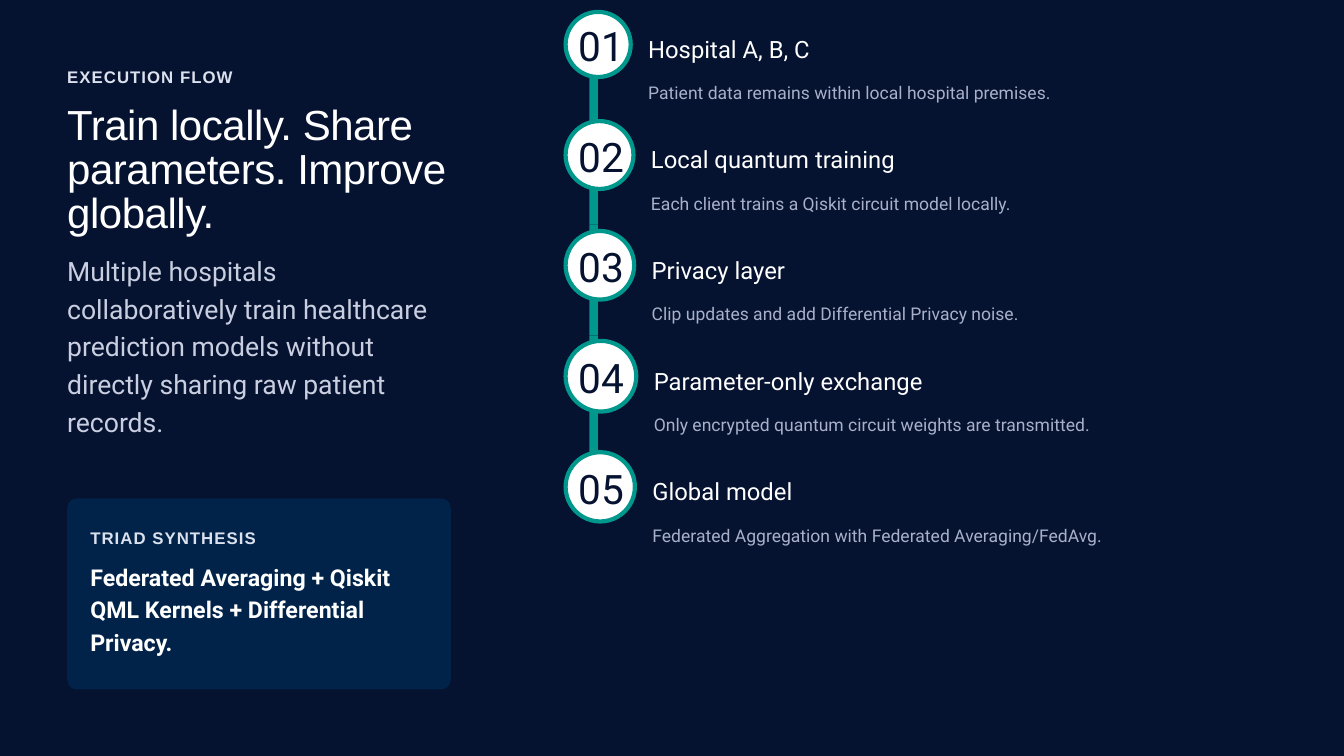
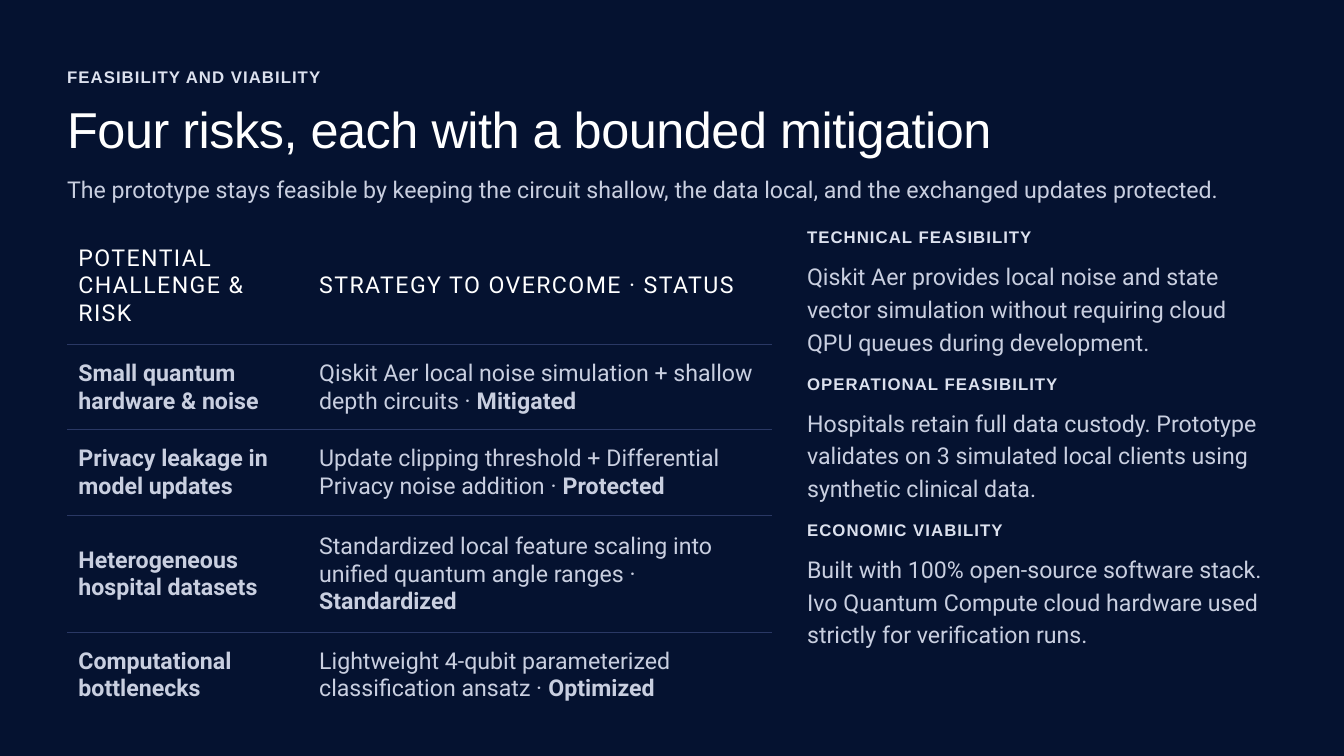
from dataclasses import dataclass

from lxml.etree import SubElement
from pptx import Presentation
from pptx.dml.color import RGBColor
from pptx.enum.shapes import MSO_SHAPE
from pptx.enum.text import MSO_ANCHOR, MSO_AUTO_SIZE
from pptx.oxml import parse_xml
from pptx.oxml.ns import nsdecls, qn
from pptx.util import Emu, Pt

PX = 9525  # EMU in one px; the slide is 1920 by 1080 px


@dataclass(frozen=True)
class Style:
    size: float
    pitch: float
    colour: str
    font: str = "Roboto"
    bold: bool = False
    spacing: int = 0  # hundredths of a point


class Theme:
    background = "051230"
    panel = "022349"
    accent = "00978D"
    rule = "2A3864"
    white = "FFFFFF"
    body = "C9CFE0"

    eyebrow = Style(18, 22.5, "DCE1EE", "Arial", True, 110)
    side_title = Style(45, 47.5, white, "Arial", spacing=-50)
    wide_title = Style(54, 57.1, white, "Arial", spacing=-50)
    lead = Style(28.5, 40.4, body)
    paragraph = Style(24.8, 35.1, body)
    synthesis = Style(24.8, 35.1, white, bold=True)
    step_number = Style(43.5, 43.4, background)
    step_title = Style(25.5, 33.1, white)
    step_detail = Style(18.8, 25.2, "A9B1CA")
    table_head = Style(24.8, 29.7, white, spacing=150)
    table_text = Style(24.8, 29.7, body)
    table_strong = Style(24.8, 29.7, body, bold=True)


def add_span(para, text, style):
    para.line_spacing = Pt(style.pitch)
    span = para.add_run()
    span.text = text
    span.font.size = Pt(style.size)
    span.font.name = style.font
    span.font.bold = style.bold
    span.font.color.rgb = RGBColor.from_string(style.colour)
    if style.spacing:
        span.font._element.set("spc", str(style.spacing))


def add_text(page, left, top, width, height, text, style):
    box = page.shapes.add_textbox(left * PX, top * PX, width * PX, height * PX)
    frame = box.text_frame
    frame.margin_left = frame.margin_right = frame.margin_top = frame.margin_bottom = 0
    frame.word_wrap = True
    frame.auto_size = MSO_AUTO_SIZE.SHAPE_TO_FIT_TEXT
    add_span(frame.paragraphs[0], text, style)


deck = Presentation()
deck.slide_width = Emu(1920 * PX)
deck.slide_height = Emu(1080 * PX)
pages = []
for eyebrow in ("EXECUTION FLOW", "FEASIBILITY AND VIABILITY"):
    page = deck.slides.add_slide(deck.slide_layouts[6])
    page.background.fill.solid()
    page.background.fill.fore_color.rgb = RGBColor.from_string(Theme.background)
    add_text(page, 96, 94, 644, 32, eyebrow, Theme.eyebrow)
    pages.append(page)
flow_page, risk_page = pages

# Execution flow: message on the left
add_text(flow_page, 96, 149, 547, 187,
         "Train locally. Share parameters. Improve globally.", Theme.side_title)
add_text(flow_page, 96, 356, 547, 277,
         "Multiple hospitals collaboratively train healthcare prediction models "
         "without directly sharing raw patient records.", Theme.lead)

# Execution flow: synthesis panel
panel = flow_page.shapes.add_shape(
    MSO_SHAPE.ROUNDED_RECTANGLE, 96 * PX, 712 * PX, 548 * PX, 273 * PX)
panel.adjustments[0] = 0.05
panel.shadow.inherit = False
panel.fill.solid()
panel.fill.fore_color.rgb = RGBColor.from_string(Theme.panel)
panel.line.fill.background()
add_text(flow_page, 129, 752, 578, 32, "TRIAD SYNTHESIS", Theme.eyebrow)
add_text(flow_page, 129, 797, 482, 147,
         "Federated Averaging + Qiskit QML Kernels + Differential Privacy.",
         Theme.synthesis)

# Execution flow: numbered steps on a vertical track
steps = [
    (93, "Hospital A, B, C", "Patient data remains within local hospital premises."),
    (97, "Local quantum training", "Each client trains a Qiskit circuit model locally."),
    (98, "Privacy layer", "Clip updates and add Differential Privacy noise."),
    (101, "Parameter-only exchange",
     "Only encrypted quantum circuit weights are transmitted."),
    (99, "Global model", "Federated Aggregation with Federated Averaging/FedAvg."),
]
first_centre, step_gap, circle_left = 63, 158, 808
last_centre = first_centre + step_gap * (len(steps) - 1)
for index, (diameter, title, detail) in enumerate(steps):
    centre = first_centre + step_gap * index
    track_top = max(first_centre, centre - 58)
    track_bottom = min(last_centre, centre + 100)
    track = flow_page.shapes.add_shape(
        MSO_SHAPE.RECTANGLE, 842 * PX, track_top * PX,
        12 * PX, (track_bottom - track_top) * PX)
    circle = flow_page.shapes.add_shape(
        MSO_SHAPE.OVAL, circle_left * PX, (centre - diameter // 2) * PX,
        diameter * PX, diameter * PX)
    for shape, fill in ((track, Theme.accent), (circle, Theme.white)):
        shape.shadow.inherit = False
        shape.fill.solid()
        shape.fill.fore_color.rgb = RGBColor.from_string(fill)
    track.line.fill.background()
    circle.line.color.rgb = RGBColor.from_string(Theme.accent)
    circle.line.width = Pt(4.5)
    text_left = circle_left + diameter + 25
    add_text(flow_page, 826, centre - 21, 155, 50, f"{index + 1:02}", Theme.step_number)
    add_text(flow_page, text_left, centre - 17, 965, 48, title, Theme.step_title)
    add_text(flow_page, text_left, centre + 51, 988, 37, detail, Theme.step_detail)

# Risks: heading
add_text(risk_page, 96, 150, 1729, 72,
         "Four risks, each with a bounded mitigation", Theme.wide_title)
add_text(risk_page, 96, 243, 1824, 53,
         "The prototype stays feasible by keeping the circuit shallow, the data local, "
         "and the exchanged updates protected.", Theme.paragraph)

# Risks: table of challenges, strategies and status
risks = [
    ("Small quantum hardware & noise",
     "Qiskit Aer local noise simulation + shallow depth circuits · ", "Mitigated"),
    ("Privacy leakage in model updates",
     "Update clipping threshold + Differential Privacy noise addition · ", "Protected"),
    ("Heterogeneous hospital datasets",
     "Standardized local feature scaling into unified quantum angle ranges · ",
     "Standardized"),
    ("Computational bottlenecks",
     "Lightweight 4-qubit parameterized classification ansatz · ", "Optimized"),
]
rows = [([("POTENTIAL CHALLENGE & RISK", Theme.table_head)],
         [("STRATEGY TO OVERCOME · STATUS", Theme.table_head)])]
for risk, strategy, status in risks:
    rows.append(([(risk, Theme.table_strong)],
                 [(strategy, Theme.table_text), (status, Theme.table_strong)]))

row_heights = (168, 122, 122, 168, 120)
column_widths = (344, 663)
table = risk_page.shapes.add_table(
    len(rows), len(column_widths), 96 * PX, 324 * PX,
    sum(column_widths) * PX, sum(row_heights) * PX).table
table.first_row = table.horz_banding = False
for column, width in zip(table.columns, column_widths):
    column.width = Emu(width * PX)
for row_index, (row, height) in enumerate(zip(rows, row_heights)):
    table.rows[row_index].height = Emu(height * PX)
    borders = {
        "lnL": Theme.background,
        "lnR": Theme.background,
        "lnT": Theme.rule if row_index else Theme.background,
        "lnB": Theme.rule if row_index < len(rows) - 1 else Theme.background,
    }
    for column_index, spans in enumerate(row):
        cell = table.cell(row_index, column_index)
        cell.vertical_anchor = MSO_ANCHOR.MIDDLE
        cell.margin_left = cell.margin_right = Emu(16 * PX)
        cell.margin_top = cell.margin_bottom = Emu(16 * PX)
        cell.fill.background()
        for text, style in spans:
            add_span(cell.text_frame.paragraphs[0], text, style)
        properties = cell._tc.get_or_add_tcPr()
        for position, (side, colour) in enumerate(borders.items()):
            border = parse_xml(f'<a:{side} {nsdecls("a")} w="12700"/>')
            fill = SubElement(border, qn("a:solidFill"))
            SubElement(fill, qn("a:srgbClr"), val=colour)
            properties.insert(position, border)

# Risks: feasibility notes on the right
notes = [
    ("TECHNICAL FEASIBILITY",
     "Qiskit Aer provides local noise and state vector simulation without requiring "
     "cloud QPU queues during development."),
    ("OPERATIONAL FEASIBILITY",
     "Hospitals retain full data custody. Prototype validates on 3 simulated local "
     "clients using synthetic clinical data."),
    ("ECONOMIC VIABILITY",
     "Built with 100% open-source software stack. Ivo Quantum Compute cloud hardware "
     "used strictly for verification runs."),
]
for index, (heading, note) in enumerate(notes):
    top = 323 + 209 * index
    add_text(risk_page, 1153, top, 673, 32, heading, Theme.eyebrow)
    add_text(risk_page, 1153, top + 45, 673, 147, note, Theme.paragraph)

deck.save("out.pptx")
